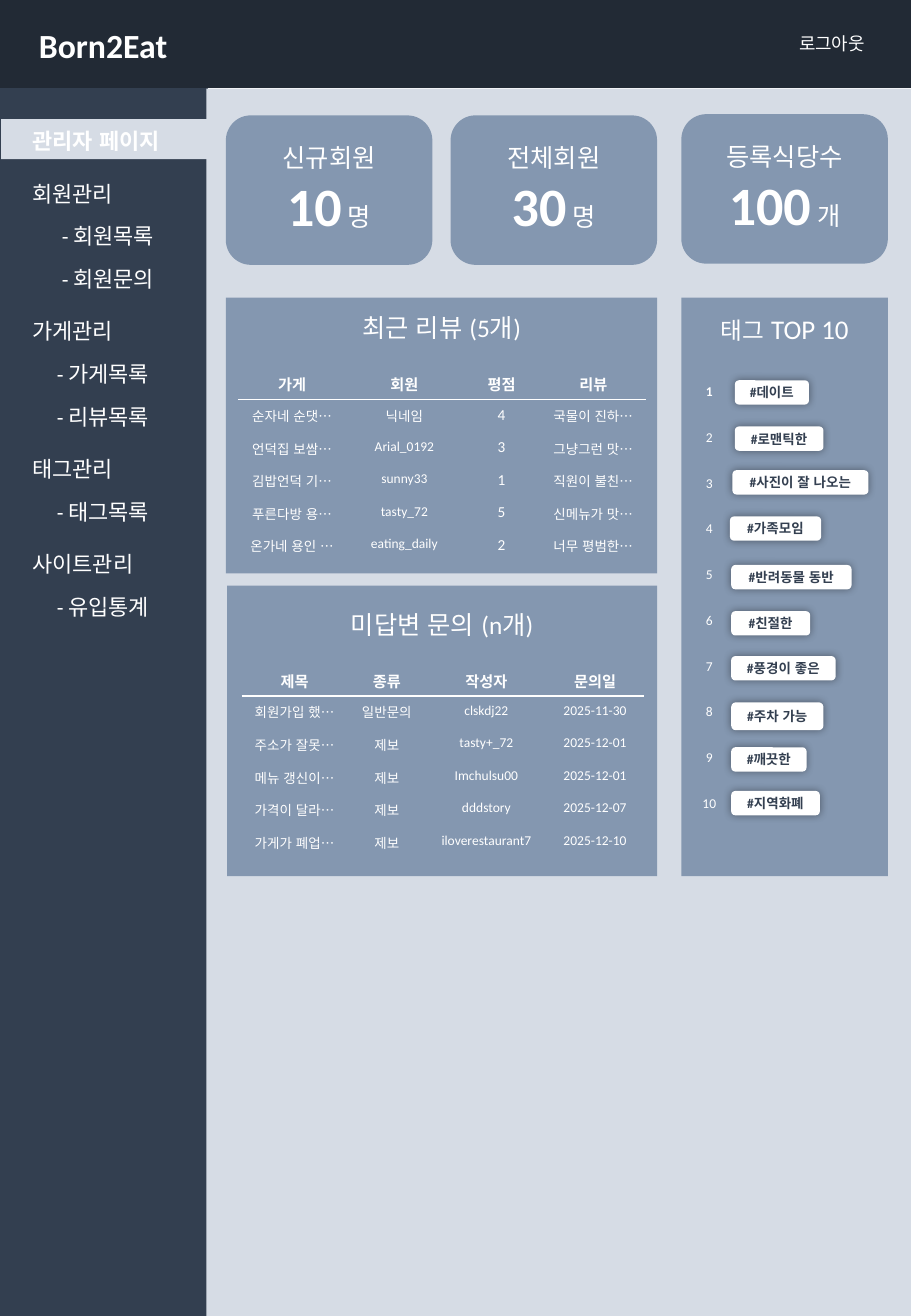
from dataclasses import dataclass

from lxml import etree
from pptx import Presentation
from pptx.dml.color import RGBColor
from pptx.enum import lang, shapes, text
from pptx.oxml import ns
from pptx.util import Inches, Pt

NAVY = RGBColor(0x22, 0x2A, 0x35)
SLATE = RGBColor(0x33, 0x3F, 0x50)
STEEL = RGBColor(0x84, 0x97, 0xB0)
PALE = RGBColor(0xD6, 0xDC, 0xE5)
WHITE = RGBColor(0xFF, 0xFF, 0xFF)
RECT = shapes.MSO_SHAPE.RECTANGLE
ROUND = shapes.MSO_SHAPE.ROUNDED_RECTANGLE
LEFT, CENTER = text.PP_ALIGN.LEFT, text.PP_ALIGN.CENTER
TOP, MIDDLE = text.MSO_ANCHOR.TOP, text.MSO_ANCHOR.MIDDLE
NO_GRID_STYLE = "{2D5ABB26-0587-4C30-8999-92F81FD0307C}"


@dataclass
class Box:
    left: float
    top: float
    width: float
    height: float

    def emu(self) -> tuple:
        return tuple(Inches(v) for v in (self.left, self.top, self.width, self.height))


@dataclass
class MenuItem:
    label: str
    indent: float = 0
    before: float = 0
    bold: bool = False


@dataclass
class Card:
    box: Box
    label: str
    count: str
    unit: str


@dataclass
class Panel:
    box: Box
    title: list
    inset: float


@dataclass
class Listing:
    box: Box
    widths: list
    rows: list
    large_column: int = -1


@dataclass
class Tag:
    label: str
    left: float
    top: float
    width: float
    height: float = 0.2


def add_run(p, words: str, size: float, bold: bool = False, color=WHITE) -> None:
    r = p.add_run()
    r.text = words
    fmt = {"name": "Calibri", "size": Pt(size), "bold": bold,
           "language_id": lang.MSO_LANGUAGE_ID.KOREAN}
    for key, value in fmt.items():
        setattr(r.font, key, value)
    r.font.color.rgb = color


def set_frame(tf, **fmt) -> None:
    for key, value in fmt.items():
        setattr(tf, key, value)


def add_box(s, box: Box, fill, kind=RECT, line=None):
    sp = s.shapes.add_shape(kind, *box.emu())
    sp.fill.solid()
    sp.fill.fore_color.rgb = fill
    if line is None:
        sp.line.fill.background()
    else:
        sp.line.color.rgb = line
        sp.line.width = Pt(1)
    sp.shadow.inherit = False
    return sp


def add_menu(s, box: Box, items: list) -> None:
    tf = s.shapes.add_textbox(*box.emu()).text_frame
    tf.word_wrap = True
    for i, item in enumerate(items):
        p = tf.add_paragraph() if i else tf.paragraphs[0]
        if i:
            p.space_before = Pt(item.before)
        if item.indent:
            p._p.get_or_add_pPr().set("marL", str(Inches(item.indent)))
        add_run(p, item.label, 13, item.bold)


def add_card(s, card: Card) -> None:
    tf = add_box(s, card.box, STEEL, ROUND).text_frame
    set_frame(tf, word_wrap=True, vertical_anchor=MIDDLE)
    head, figure = tf.paragraphs[0], tf.add_paragraph()
    head.alignment = figure.alignment = CENTER
    add_run(head, card.label, 15)
    add_run(figure, card.count, 32, True)
    add_run(figure, " ", 16, True)
    add_run(figure, card.unit, 15)


def add_panel(s, panel: Panel) -> None:
    tf = add_box(s, panel.box, STEEL).text_frame
    set_frame(tf, word_wrap=True, vertical_anchor=TOP, margin_top=Inches(panel.inset))
    tf.paragraphs[0].alignment = CENTER
    for words, size in panel.title:
        add_run(tf.paragraphs[0], words, size)


def add_plain_table(s, box: Box, widths: list, row_count: int):
    table = s.shapes.add_table(row_count, len(widths), *box.emu()).table
    table.first_row = table.horz_banding = False
    table._tbl.tblPr.find(ns.qn("a:tableStyleId")).text = NO_GRID_STYLE
    for column, width in zip(table.columns, widths):
        column.width = Inches(width)
    for row in table.rows:
        row.height = Inches(box.height / row_count)
    return table


def set_borders(cell, ruled: str) -> None:
    """Rule one side of the cell in white and clear the other sides."""
    for i, side in enumerate(("lnL", "lnR", "lnT", "lnB")):
        edge = etree.Element(ns.qn(f"a:{side}"), w=str(Pt(1)))
        if side == ruled:
            fill = etree.SubElement(edge, ns.qn("a:solidFill"))
            etree.SubElement(fill, ns.qn("a:srgbClr"), val=str(WHITE))
        else:
            etree.SubElement(edge, ns.qn("a:noFill"))
        cell._tc.get_or_add_tcPr().insert(i, edge)


def add_listing(s, listing: Listing) -> None:
    table = add_plain_table(s, listing.box, listing.widths, len(listing.rows))
    for i, row in enumerate(listing.rows):
        for j, words in enumerate(row):
            cell = table.cell(i, j)
            cell.fill.solid()
            cell.fill.fore_color.rgb = STEEL
            p = cell.text_frame.paragraphs[0]
            p.alignment = CENTER
            add_run(p, words, 9 if i == 0 or j == listing.large_column else 8, i == 0)
            set_borders(cell, {0: "lnB", 1: "lnT"}.get(i, ""))


def add_ranks(s, box: Box, count: int) -> None:
    table = add_plain_table(s, box, [box.width], count)
    for i in range(count):
        cell = table.cell(i, 0)
        cell.fill.background()
        cell.vertical_anchor = MIDDLE
        p = cell.text_frame.paragraphs[0]
        p.alignment = CENTER
        add_run(p, str(i + 1), 8, i == 0)


def add_tag(s, tag: Tag) -> None:
    sp = add_box(s, Box(tag.left, tag.top, tag.width, tag.height), WHITE, ROUND)
    effects = sp._element.spPr.find(ns.qn("a:effectLst"))
    glow = etree.SubElement(effects, ns.qn("a:outerShdw"), blurRad=str(Pt(5)),
                            dist="0", dir="0", algn="ctr", rotWithShape="0")
    color = etree.SubElement(glow, ns.qn("a:srgbClr"), val="000000")
    etree.SubElement(color, ns.qn("a:alpha"), val="40000")
    set_frame(sp.text_frame, word_wrap=False, vertical_anchor=MIDDLE,
              margin_left=0, margin_right=0, margin_top=0, margin_bottom=0)
    p = sp.text_frame.paragraphs[0]
    p.alignment = CENTER
    add_run(p, tag.label, 8, True, SLATE)


GROUP, SUB = 15.6, 9.6
MENU = [
    MenuItem("관리자 페이지", bold=True),
    MenuItem("회원관리", 0, GROUP), MenuItem("- 회원목록", 0.24, SUB), MenuItem("- 회원문의", 0.24, SUB),
    MenuItem("가게관리", 0, GROUP), MenuItem("- 가게목록", 0.2, SUB), MenuItem("- 리뷰목록", 0.2, SUB),
    MenuItem("태그관리", 0, GROUP), MenuItem("- 태그목록", 0.2, SUB),
    MenuItem("사이트관리", 0, GROUP), MenuItem("- 유입통계", 0.2, SUB),
]
CARDS = [
    Card(Box(1.86, 0.95, 1.7, 1.23), "신규회원", "10", "명"),
    Card(Box(3.71, 0.95, 1.7, 1.23), "전체회원", "30", "명"),
    Card(Box(5.61, 0.94, 1.7, 1.23), "등록식당수", "100", "개"),
]
PANELS = [
    Panel(Box(1.86, 2.45, 3.55, 2.27), [("최근 리뷰 (5개)", 15)], 0.12),
    Panel(Box(1.87, 4.82, 3.54, 2.39), [("미답변 문의 (n개)", 15)], 0.19),
    Panel(Box(5.61, 2.45, 1.7, 4.76), [("태그", 14), (" ", 15), ("TOP 10", 16)], 0.12),
]
REVIEWS = Listing(Box(1.96, 3.02, 3.36, 1.61), [0.89, 0.96, 0.64, 0.87], [
    ["가게", "회원", "평점", "리뷰"],
    ["순자네 순댓…", "닉네임", "4", "국물이 진하…"],
    ["언덕집 보쌈…", "Arial_0192", "3", "그냥그런 맛…"],
    ["김밥언덕 기…", "sunny33", "1", "직원이 불친…"],
    ["푸른다방 용…", "tasty_72", "5", "신메뉴가 맛…"],
    ["온가네 용인 …", "eating_daily", "2", "너무 평범한…"],
], large_column=2)
INQUIRIES = Listing(Box(1.99, 5.46, 3.31, 1.61), [0.87, 0.65, 0.99, 0.8], [
    ["제목", "종류", "작성자", "문의일"],
    ["회원가입 했…", "일반문의", "clskdj22", "2025-11-30"],
    ["주소가 잘못…", "제보", "tasty+_72", "2025-12-01"],
    ["메뉴 갱신이…", "제보", "Imchulsu00", "2025-12-01"],
    ["가격이 달라…", "제보", "dddstory", "2025-12-07"],
    ["가게가 폐업…", "제보", "iloverestaurant7", "2025-12-10"],
])
TAGS = [
    Tag("#데이트", 6.05, 3.13, 0.61), Tag("#로맨틱한", 6.05, 3.51, 0.73),
    Tag("#사진이 잘 나오는", 6.03, 3.87, 1.12), Tag("#가족모임", 6.01, 4.25, 0.75),
    Tag("#반려동물 동반", 6.02, 4.65, 0.99), Tag("#친절한", 6.02, 5.03, 0.65),
    Tag("#풍경이 좋은", 6.02, 5.4, 0.86), Tag("#주차 가능", 6.02, 5.78, 0.76, 0.23),
    Tag("#깨끗한", 6.02, 6.15, 0.62), Tag("#지역화폐", 6.02, 6.51, 0.73),
]


def main() -> None:
    prs = Presentation()
    prs.slide_width, prs.slide_height = Inches(7.5), Inches(10.83)
    s = prs.slides.add_slide(prs.slide_layouts[5])

    # Sidebar and header
    add_box(s, Box(0, 0, 1.71, 10.83), SLATE, line=SLATE)
    add_box(s, Box(0, 0, 7.5, 0.72), NAVY, line=NAVY)
    title = s.shapes.title
    title.left, title.top, title.width, title.height = Box(0.22, 0.15, 1.32, 0.44).emu()
    set_frame(title.text_frame, vertical_anchor=TOP, word_wrap=False,
              auto_size=text.MSO_AUTO_SIZE.NONE)
    title.text_frame.paragraphs[0].alignment = LEFT
    add_run(title.text_frame.paragraphs[0], "Born2Eat", 20, True)
    s.shapes._spTree.append(title._element)
    logout = s.shapes.add_textbox(*Box(6.48, 0.22, 0.82, 0.28).emu())
    add_run(logout.text_frame.paragraphs[0], "로그아웃", 10.6)
    add_box(s, Box(0.01, 0.98, 1.7, 0.33), PALE)
    add_menu(s, Box(0.17, 1, 1.35, 4.27), MENU)

    # Dashboard
    add_box(s, Box(1.7, 0.73, 5.8, 10.1), PALE)
    for card in CARDS:
        add_card(s, card)
    for panel in PANELS:
        add_panel(s, panel)
    for listing in (REVIEWS, INQUIRIES):
        add_listing(s, listing)

    # Tag ranking
    for tag in TAGS:
        add_tag(s, tag)
    add_ranks(s, Box(5.66, 3.04, 0.36, 3.76), len(TAGS))
    prs.save("out.pptx")


if __name__ == "__main__":
    main()
